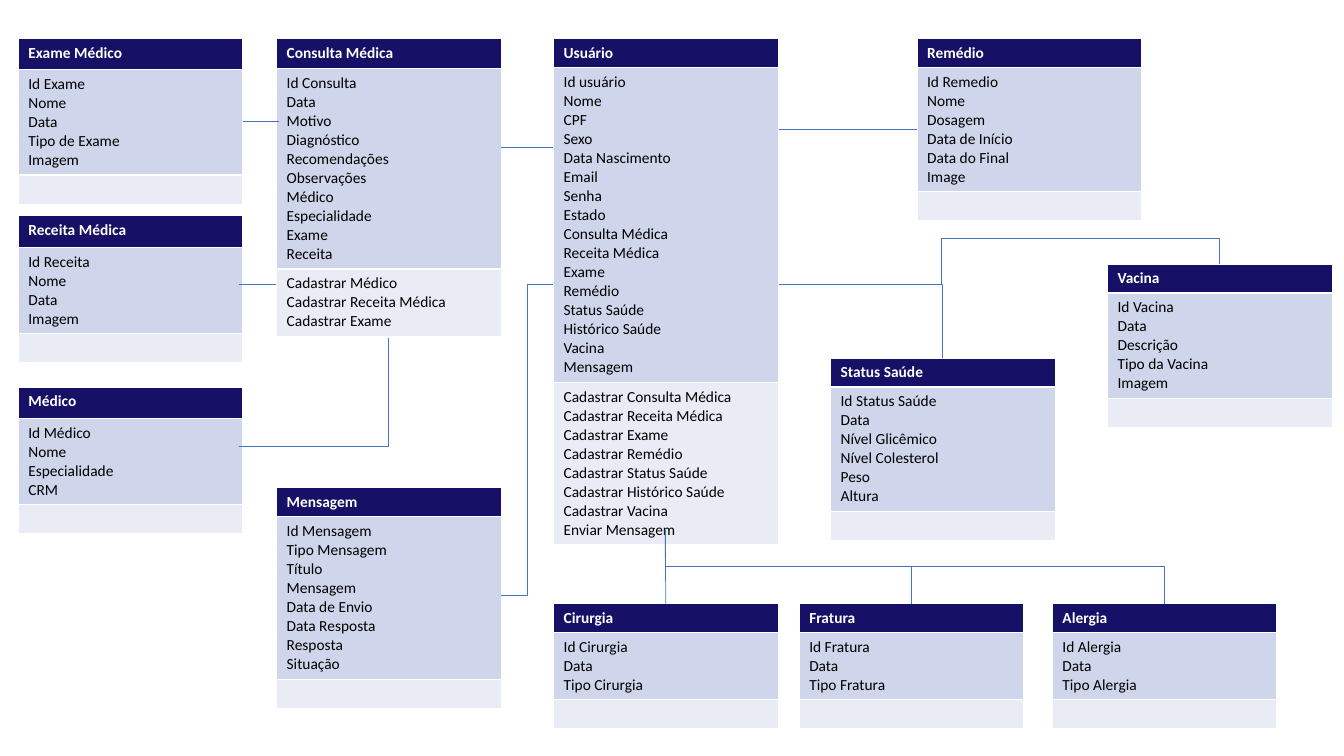
from dataclasses import dataclass

from lxml import etree
from pptx import Presentation
from pptx.dml.color import RGBColor
from pptx.enum.shapes import MSO_CONNECTOR
from pptx.oxml.ns import qn
from pptx.util import Cm, Pt

STRAIGHT, ELBOW = MSO_CONNECTOR.STRAIGHT, MSO_CONNECTOR.ELBOW
TOP, LEFT, RIGHT = 0, 1, 3


@dataclass(frozen=True)
class Theme:
    header: str = "161066"
    attributes: str = "CFD5EA"
    operations: str = "E9EBF5"
    light_text: str = "FFFFFF"
    dark_text: str = "000000"
    line: str = "4472C4"
    font: str = "Calibri"
    size: float = 11
    line_width: float = 0.5


THEME = Theme()
# Lengths in centimetres
CARD_WIDTH = 5.66
TEXT_LINE, CELL_PADDING = 0.48, 0.25
COLUMN_2, COLUMN_3, COLUMN_4, COLUMN_5 = (6.97 + 6.98 * i for i in range(4))
COLUMN_1 = 0.46
TOP_ROW, BOTTOM_ROW = 0.97, 15.21
USER_RIGHT = COLUMN_3 + CARD_WIDTH + 0.02
USER_CENTER, USER_MIDDLE, USER_BOTTOM = 16.76, 7.16, 13.36

# Title, left, top, header height, attributes, operations
ENTITIES = [
    ("Usuário", COLUMN_3, TOP_ROW, 0.73,
     ["Id usuário", "Nome", "CPF", "Sexo", "Data Nascimento", "Email", "Senha", "Estado",
      "Consulta Médica", "Receita Médica", "Exame", "Remédio", "Status Saúde",
      "Histórico Saúde", "Vacina", "Mensagem"],
     ["Cadastrar Consulta Médica", "Cadastrar Receita Médica", "Cadastrar Exame",
      "Cadastrar Remédio", "Cadastrar Status Saúde", "Cadastrar Histórico Saúde",
      "Cadastrar Vacina", "Enviar Mensagem"]),
    ("Consulta Médica", COLUMN_2, TOP_ROW, 0.76,
     ["Id Consulta", "Data", "Motivo", "Diagnóstico", "Recomendações", "Observações",
      "Médico", "Especialidade", "Exame", "Receita"],
     ["Cadastrar Médico", "Cadastrar Receita Médica", "Cadastrar Exame"]),
    ("Médico", COLUMN_1, 9.75, 0.79, ["Id Médico", "Nome", "Especialidade", "CRM"], []),
    ("Exame Médico", COLUMN_1, TOP_ROW, 0.79,
     ["Id Exame", "Nome", "Data", "Tipo de Exame", "Imagem"], []),
    ("Receita Médica", COLUMN_1, 5.44, 0.79, ["Id Receita", "Nome", "Data", "Imagem"], []),
    ("Vacina", COLUMN_5, 6.65, 0.73,
     ["Id Vacina", "Data", "Descrição", "Tipo da Vacina", "Imagem"], []),
    ("Remédio", 23.11, TOP_ROW, 0.73,
     ["Id Remedio", "Nome", "Dosagem", "Data de Início", "Data do Final", "Image"], []),
    ("Status Saúde", COLUMN_4, 9.02, 0.73,
     ["Id Status Saúde", "Data", "Nível Glicêmico", "Nível Colesterol", "Peso", "Altura"], []),
    ("Alergia", 26.52, BOTTOM_ROW, 0.73, ["Id Alergia", "Data", "Tipo Alergia"], []),
    ("Fratura", 20.14, BOTTOM_ROW, 0.73, ["Id Fratura", "Data", "Tipo Fratura"], []),
    ("Cirurgia", COLUMN_3, BOTTOM_ROW, 0.73, ["Id Cirurgia", "Data", "Tipo Cirurgia"], []),
    ("Mensagem", COLUMN_2, 12.29, 0.73,
     ["Id Mensagem", "Tipo Mensagem", "Título", "Mensagem", "Data de Envio",
      "Data Resposta", "Resposta", "Situação"], []),
]

# Start, end, preset, adjustments, whether the route leaves upwards
ELBOWS = [
    ((6.02, 11.25), (9.78, 8.53), "bentConnector2", [], False),
    ((12.62, 15.01), (13.94, USER_MIDDLE), "bentConnector3", [0.5], False),
    ((22.96, BOTTOM_ROW), (USER_CENTER, USER_BOTTOM), "bentConnector3", [0.5], True),
    ((29.34, BOTTOM_ROW), (USER_CENTER, USER_BOTTOM), "bentConnector3", [0.5], True),
    ((30.73, 6.65), (USER_RIGHT, USER_MIDDLE), "bentConnector4", [-1.26, 0.63], True),
    ((23.75, 9.02), (USER_RIGHT, USER_MIDDLE), "bentConnector2", [], True),
]


def write(text_frame, lines, *, color, bold=False):
    text_frame.text = "\n".join(lines)
    for paragraph in text_frame.paragraphs:
        for run in paragraph.runs:
            run.font.name = THEME.font
            run.font.size = Pt(THEME.size)
            run.font.bold = bold
            run.font.color.rgb = RGBColor.from_string(color)
        if not paragraph.runs:
            etree.SubElement(paragraph._p, qn("a:endParaRPr"), sz=str(int(THEME.size * 100)))


def add_entity(slide, title, left, top, header_height, attributes, operations):
    heights = [header_height] + [
        max(len(lines), 1) * TEXT_LINE + CELL_PADDING for lines in (attributes, operations)]
    card = slide.shapes.add_table(
        3, 1, Cm(left), Cm(top), Cm(CARD_WIDTH), Cm(sum(heights)))
    sections = [
        ([title], THEME.header, THEME.light_text, True),
        (attributes, THEME.attributes, THEME.dark_text, False),
        (operations, THEME.operations, THEME.dark_text, False),
    ]
    for row, (height, (lines, fill, color, bold)) in enumerate(zip(heights, sections)):
        card.table.rows[row].height = Cm(height)
        cell = card.table.cell(row, 0)
        cell.fill.solid()
        cell.fill.fore_color.rgb = RGBColor.from_string(fill)
        write(cell.text_frame, lines, color=color, bold=bold)
    return card


def add_link(slide, start, end, kind=STRAIGHT):
    link = slide.shapes.add_connector(kind, *(Cm(value) for value in (*start, *end)))
    link.line.color.rgb = RGBColor.from_string(THEME.line)
    link.line.width = Pt(THEME.line_width)
    etree.SubElement(link._element.spPr, qn("a:effectLst"))
    return link


def add_elbow(slide, start, end, preset, adjustments, upwards):
    link = add_link(slide, start, end, ELBOW)
    properties = link._element.spPr
    geometry = properties.find(qn("a:prstGeom"))
    geometry.set("prst", preset)
    guides = geometry.find(qn("a:avLst"))
    if guides is None:
        guides = etree.SubElement(geometry, qn("a:avLst"))
    for number, share in enumerate(adjustments, 1):
        etree.SubElement(guides, qn("a:gd"), name=f"adj{number}",
                         fmla=f"val {round(share * 100000)}")
    if upwards:
        # A quarter turn swaps the sides of the box around its centre
        (x1, y1), (x2, y2) = start, end
        width, height = abs(y2 - y1), abs(x2 - x1)
        link.left, link.top = Cm((x1 + x2 - width) / 2), Cm((y1 + y2 - height) / 2)
        link.width, link.height = Cm(width), Cm(height)
        frame = properties.find(qn("a:xfrm"))
        frame.set("rot", str(270 * 60000))
        frame.set("flipH", str(int(y2 > y1)))
        frame.set("flipV", str(int(x2 < x1)))


def add_side_link(slide, start_x, card, side):
    """Draw a level line to the middle of a card's left or right side."""
    middle = (card.top + card.height // 2) / Cm(1)
    add_link(slide, (start_x, middle), (start_x, middle)).end_connect(card, side)


def add_class_diagram(slide):
    cards = {entity[0]: add_entity(slide, *entity) for entity in ENTITIES}
    add_link(slide, (13.94, 3.71), (12.62, 3.71))
    add_link(slide, (6.96, USER_MIDDLE), (6.02, USER_MIDDLE))
    add_side_link(slide, 7.04, cards["Exame Médico"], RIGHT)
    add_side_link(slide, USER_RIGHT, cards["Remédio"], LEFT)
    surgery_link = add_link(slide, (USER_CENTER, USER_BOTTOM), (USER_CENTER, BOTTOM_ROW))
    surgery_link.end_connect(cards["Cirurgia"], TOP)
    for elbow in ELBOWS:
        add_elbow(slide, *elbow)


def main():
    presentation = Presentation()
    presentation.slide_width, presentation.slide_height = Cm(33.87), Cm(19.05)
    add_class_diagram(presentation.slides.add_slide(presentation.slide_layouts[6]))
    presentation.save("out.pptx")


if __name__ == "__main__":
    main()
